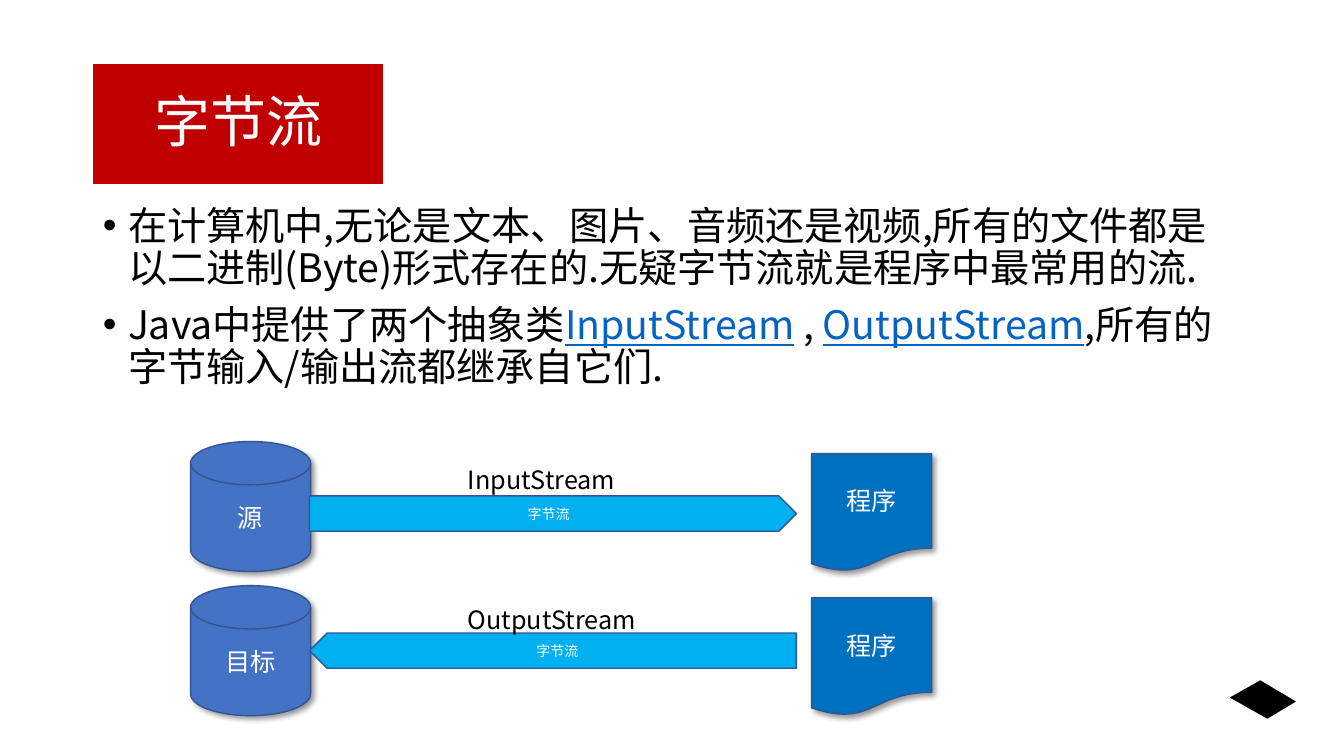
"""Build the slide on byte streams: title, two bullets and two data-flow rows."""
from typing import NamedTuple

from lxml.etree import SubElement
from pptx import Presentation
from pptx.dml.color import RGBColor
from pptx.enum.shapes import MSO_SHAPE
from pptx.enum.text import MSO_ANCHOR, MSO_AUTO_SIZE, PP_ALIGN
from pptx.oxml.ns import qn
from pptx.util import Inches, Pt

FONT = "Noto Sans CJK SC"
WHITE, BLACK, LINK = "FFFFFF", "000000", "0563C1"
RED, DISK, ARROW, PROGRAM, OUTLINE = "C00000", "4472C4", "00B0F0", "0070C0", "325491"


class Span(NamedTuple):
    text: str
    link: bool = False


class Flow(NamedTuple):
    store: str
    stream: str
    disk_top: float
    label_top: float
    arrow_top: float
    inward: bool


class Box(NamedTuple):
    kind: MSO_SHAPE
    left: float
    top: float
    width: float
    height: float
    fill: str
    text: str
    size: int = 18
    shadow: bool = True
    flip: bool = False


BULLETS = [
    [Span("在计算机中,无论是文本、图片、音频还是视频,所有的文件都是以二进制(Byte)形式存在的."
          "无疑字节流就是程序中最常用的流.")],
    [Span("Java中提供了两个抽象类"), Span("InputStream", True), Span(" , "),
     Span("OutputStream", True), Span(",所有的字节输入/输出流都继承自它们.")],
]
FLOWS = [
    Flow("源", "InputStream", 4.38, 4.56, 4.92, True),
    Flow("目标", "OutputStream", 5.81, 5.95, 6.28, False),
]
MARKER = [(12.18, 6.92), (12.5, 6.74), (12.87, 6.96), (12.57, 7.14)]


def rgb(value: str) -> RGBColor:
    return RGBColor.from_string(value)


def style(p, size: int, color: str, align: PP_ALIGN = PP_ALIGN.LEFT) -> None:
    p.alignment = align
    p.font.size = Pt(size)
    p.font.name = FONT
    p.font.color.rgb = rgb(color)
    SubElement(p.font._element, qn("a:ea"), typeface=FONT)


def paint(sp, fill: str, line: str) -> None:
    sp.fill.solid()
    sp.fill.fore_color.rgb = rgb(fill)
    sp.line.color.rgb = rgb(line)
    sp.line.width = Pt(1)


def place(sp, left: float, top: float, width: float, height: float) -> None:
    sp.left, sp.top = Inches(left), Inches(top)
    sp.width, sp.height = Inches(width), Inches(height)


def add_shadow(sp) -> None:
    effects = sp._element.spPr.find(qn("a:effectLst"))
    shadow = SubElement(effects, qn("a:outerShdw"), blurRad=str(Pt(4)), dist=str(Pt(3)),
                        dir="2700000", algn="tl", rotWithShape="0")
    color = SubElement(shadow, qn("a:srgbClr"), val=BLACK)
    SubElement(color, qn("a:alpha"), val="40000")


def add_box(s, box: Box) -> None:
    sp = s.shapes.add_shape(box.kind, Inches(box.left), Inches(box.top),
                            Inches(box.width), Inches(box.height))
    paint(sp, box.fill, OUTLINE)
    sp.shadow.inherit = False
    if box.shadow:
        add_shadow(sp)
    if box.flip:
        sp._element.spPr.xfrm.set("flipH", "1")
    tf = sp.text_frame
    tf.vertical_anchor = MSO_ANCHOR.MIDDLE
    tf.text = box.text
    style(tf.paragraphs[0], box.size, WHITE, PP_ALIGN.CENTER)


def add_label(s, text: str, top: float) -> None:
    sp = s.shapes.add_textbox(Inches(4.54), Inches(top), Inches(1.89), Inches(0.4))
    tf = sp.text_frame
    tf.word_wrap = True
    tf.auto_size = MSO_AUTO_SIZE.SHAPE_TO_FIT_TEXT
    tf.text = text
    style(tf.paragraphs[0], 18, BLACK)


def add_flow(s, flow: Flow) -> None:
    add_box(s, Box(MSO_SHAPE.FLOWCHART_MAGNETIC_DISK, 1.89, flow.disk_top, 1.19, 1.29,
                   DISK, flow.store))
    add_box(s, Box(MSO_SHAPE.PENTAGON, 3.07, flow.arrow_top, 4.83, 0.35, ARROW, "字节流",
                   size=10, shadow=False, flip=not flow.inward))
    add_label(s, flow.stream, flow.label_top)
    add_box(s, Box(MSO_SHAPE.FLOWCHART_DOCUMENT, 8.05, flow.disk_top + 0.12, 1.19, 1.17,
                   PROGRAM, "程序"))


def fill_title(sp) -> None:
    place(sp, 0.92, 0.63, 2.89, 1.2)
    paint(sp, RED, WHITE)
    tf = sp.text_frame
    tf.auto_size = MSO_AUTO_SIZE.NONE
    tf.vertical_anchor = MSO_ANCHOR.MIDDLE
    tf.margin_left = tf.margin_right = tf.margin_top = tf.margin_bottom = Inches(0.01)
    tf.text = "字节流"
    p = tf.paragraphs[0]
    p.line_spacing = 0.9
    style(p, 40, WHITE, PP_ALIGN.CENTER)


def fill_body(sp) -> None:
    place(sp, 0.92, 2, 11.5, 2.24)
    tf = sp.text_frame
    tf.auto_size = MSO_AUTO_SIZE.NONE
    for i, spans in enumerate(BULLETS):
        p = tf.add_paragraph() if i else tf.paragraphs[0]
        p.line_spacing = 0.9
        p.space_before = Pt(10)
        style(p, 28, BLACK)
        pPr = p._p.get_or_add_pPr()
        pPr.set("marL", str(Inches(0.25)))
        pPr.set("indent", str(-Inches(0.25)))
        for span in spans:
            r = p.add_run()
            r.text = span.text
            if span.link:
                r.font.underline = True
                r.font.color.rgb = rgb(LINK)


def add_marker(s) -> None:
    points = [(Inches(x), Inches(y)) for x, y in MARKER]
    builder = s.shapes.build_freeform(*points[0])
    builder.add_line_segments(points[1:], close=True)
    sp = builder.convert_to_shape()
    paint(sp, BLACK, WHITE)
    sp.shadow.inherit = False


def main() -> None:
    prs = Presentation()
    prs.slide_width, prs.slide_height = Inches(13.33), Inches(7.5)
    s = prs.slides.add_slide(prs.slide_layouts[1])
    fill_title(s.shapes.title)
    fill_body(s.placeholders[1])
    for flow in FLOWS:
        add_flow(s, flow)
    add_marker(s)
    prs.save("out.pptx")


if __name__ == "__main__":
    main()
